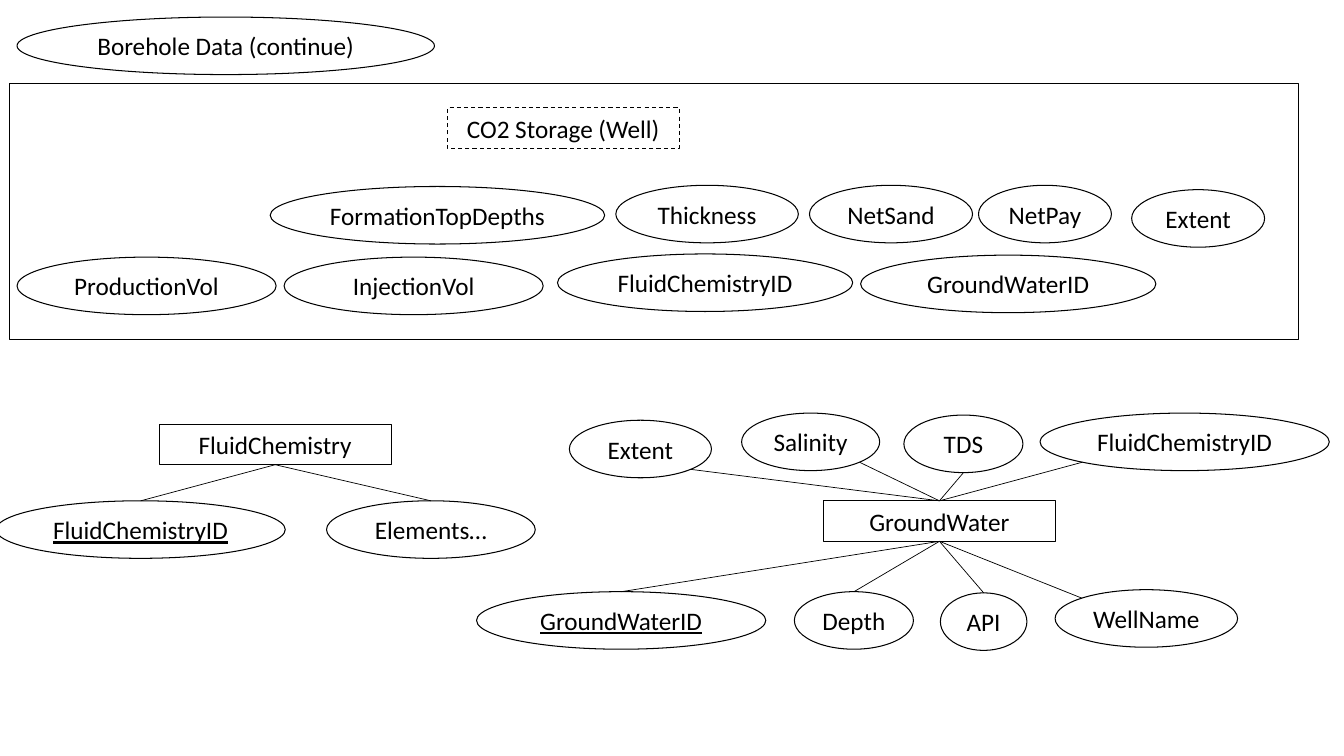
from math import cos, radians, sin

from lxml.etree import SubElement
from pptx import Presentation
from pptx.dml.color import RGBColor
from pptx.enum.dml import MSO_LINE
from pptx.enum.shapes import MSO_CONNECTOR, MSO_SHAPE
from pptx.enum.text import MSO_ANCHOR, MSO_AUTO_SIZE, PP_ALIGN
from pptx.oxml.ns import qn
from pptx.util import Cm, Pt

COLORS = {"ink": "000000"}
FONT = "Calibri"
OVAL_HEIGHT = 1.45
ENTITY_WIDTH, ENTITY_HEIGHT = 5.85, 1.02
ENTITY_TOP, ENTITY_BOTTOM = 0, 2
ANGLES = {"top": -90, "top left": -135, "bottom left": 135,
          "bottom": 90, "bottom right": 45}

WELL_ATTRIBUTES = [
    ("FormationTopDepths", 6.81, 4.7, 8.43),
    ("Thickness", 15.52, 4.67, 4.6),
    ("NetSand", 20.4, 4.67, 4.11),
    ("NetPay", 24.66, 4.67, 3.35),
    ("Extent", 28.52, 4.78, 3.35),
    ("ProductionVol", 0.43, 6.48, 6.53),
    ("InjectionVol", 7.16, 6.48, 6.53),
    ("FluidChemistryID", 14.05, 6.4, 7.44),
    ("GroundWaterID", 21.69, 6.43, 7.44),
]
FLUID_ATTRIBUTES = [
    ("FluidChemistryID", -0.1, 12.62, 7.29, "top", True),
    ("Elements…", 8.23, 12.62, 5.26, "top", False),
]
WATER_ATTRIBUTES = [
    ("GroundWaterID", 12.01, 14.91, 7.29, "top", True),
    ("Depth", 20.02, 14.91, 3, "top", False),
    ("API", 23.7, 14.94, 2.18, "top", False),
    ("WellName", 26.59, 14.86, 4.6, "top left", False),
    ("Extent", 14.35, 10.59, 3.58, "bottom right", False),
    ("Salinity", 18.69, 10.41, 3.48, "bottom right", False),
    ("TDS", 22.78, 10.46, 3, "bottom", False),
    ("FluidChemistryID", 26.21, 10.41, 7.29, "bottom left", False),
]


def ink():
    """Return the drawing colour."""
    return RGBColor.from_string(COLORS["ink"])


def add_outline(shapes, preset, left, top, width, height, weight=0.75):
    """Add an unfilled shape with a thin outline."""
    outline = shapes.add_shape(preset, Cm(left), Cm(top), Cm(width), Cm(height))
    outline.shadow.inherit = False
    outline.fill.background()
    outline.line.color.rgb = ink()
    outline.line.width = Pt(weight)
    return outline


def add_label(outline, wording, is_key=False):
    """Write a centred label, underlined for a key."""
    frame = outline.text_frame
    frame.margin_left = frame.margin_right = 0
    frame.word_wrap = True
    frame.auto_size = MSO_AUTO_SIZE.SHAPE_TO_FIT_TEXT
    frame.vertical_anchor = MSO_ANCHOR.MIDDLE
    label = frame.paragraphs[0]
    label.text = wording
    label.alignment = PP_ALIGN.CENTER
    label.font.name = FONT
    label.font.size = Pt(18)
    label.font.color.rgb = ink()
    if is_key:
        label.runs[0].font.underline = True


def add_attribute(shapes, wording, left, top, width, is_key=False):
    """Add an attribute oval."""
    oval = add_outline(shapes, MSO_SHAPE.OVAL, left, top, width, OVAL_HEIGHT)
    add_label(oval, wording, is_key)
    return oval


def add_entity(shapes, wording, left, top):
    """Add an entity box."""
    entity = add_outline(shapes, MSO_SHAPE.RECTANGLE, left, top,
                         ENTITY_WIDTH, ENTITY_HEIGHT)
    add_label(entity, wording)
    return entity


def add_link(shapes, entity, oval, side):
    """Link an entity to a point on the rim of an attribute."""
    angle = radians(ANGLES[side])
    rim_x = int(oval.left + oval.width / 2 * (1 + cos(angle)))
    rim_y = int(oval.top + oval.height / 2 * (1 + sin(angle)))
    link = shapes.add_connector(MSO_CONNECTOR.STRAIGHT, rim_x, rim_y, rim_x, rim_y)
    link.begin_connect(entity, ENTITY_BOTTOM if rim_y > entity.top + entity.height
                       else ENTITY_TOP)
    link.line.color.rgb = ink()
    link.line.width = Pt(0.5)
    SubElement(link._element.spPr, qn("a:effectLst"))


def add_entity_group(slide, wording, left, top, attributes):
    """Add an entity linked to its attributes as one group."""
    members = slide.shapes.add_group_shape().shapes
    entity = add_entity(members, wording, left, top)
    for name, oval_left, oval_top, width, side, is_key in attributes:
        oval = add_attribute(members, name, oval_left, oval_top, width, is_key)
        add_link(members, entity, oval, side)


def main():
    """Build the borehole data slide."""
    deck = Presentation()
    deck.slide_width, deck.slide_height = Cm(33.87), Cm(19.05)
    slide = deck.slides.add_slide(deck.slide_layouts[6])

    add_attribute(slide.shapes, "Borehole Data (continue)", 0.43, 0.43, 10.52)
    storage = add_entity(slide.shapes, "CO2 Storage (Well)", 11.27, 2.72)
    storage.line.dash_style = MSO_LINE.DASH
    add_outline(slide.shapes, MSO_SHAPE.RECTANGLE, 0.24, 2.11, 32.49, 6.45, 1)
    for attribute in WELL_ATTRIBUTES:
        add_attribute(slide.shapes, *attribute)

    add_entity_group(slide, "FluidChemistry", 4.01, 10.69, FLUID_ATTRIBUTES)
    add_entity_group(slide, "GroundWater", 20.75, 12.62, WATER_ATTRIBUTES)
    deck.save("out.pptx")


main()
